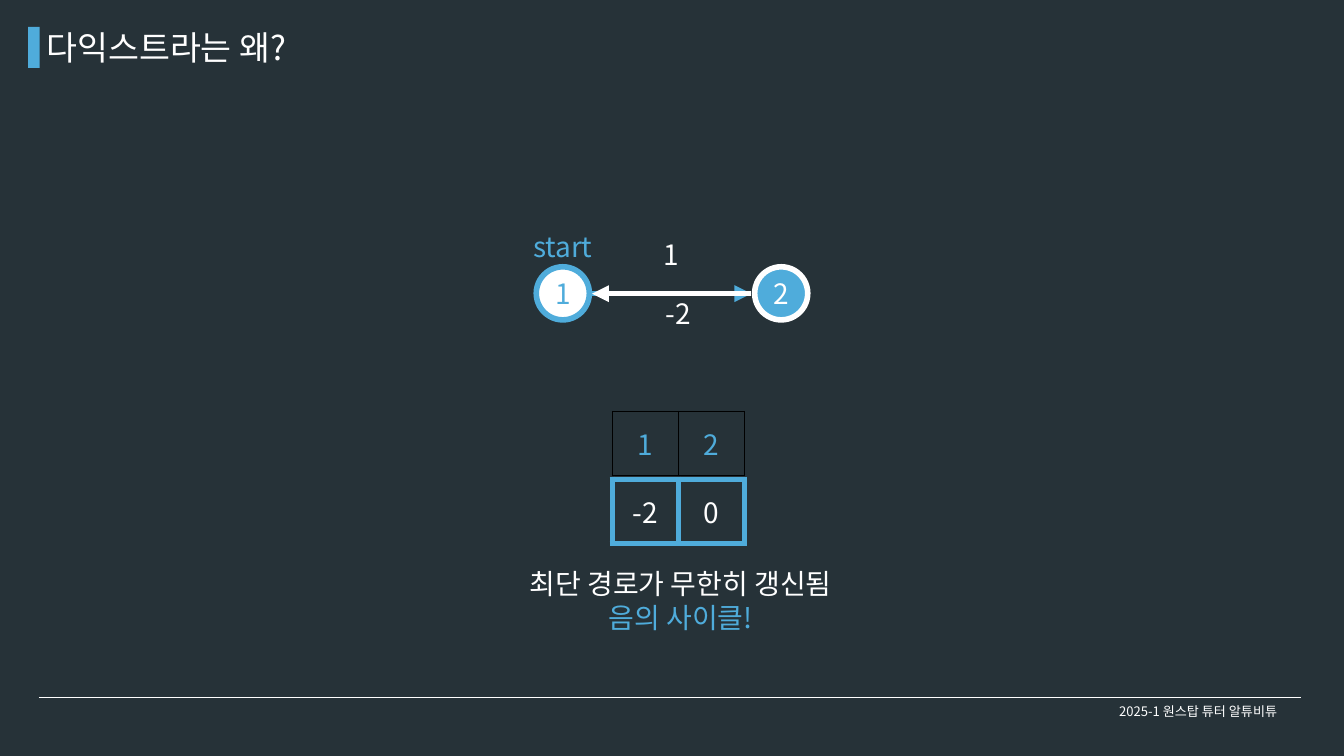
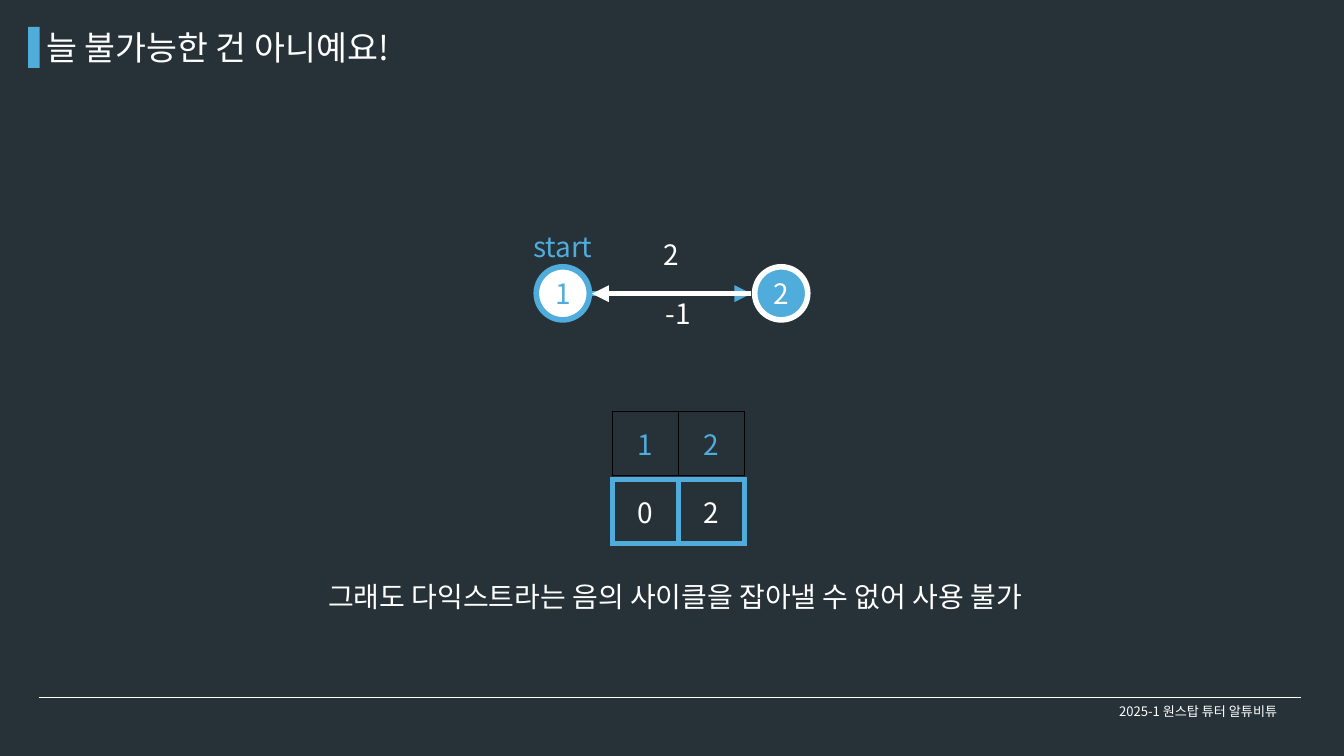
from lxml import etree
from pptx import Presentation
from pptx import util as u
from pptx.dml.color import RGBColor
from pptx.enum import shapes, text
from pptx.oxml import ns

SCALE = 9144
FONT = "Noto Sans CJK KR"
COLORS = {"night": "263238", "sky": "4FACDB", "white": "FFFFFF", "black": "000000"}
INSETS = dict.fromkeys(("margin_left", "margin_top", "margin_right", "margin_bottom"), u.Emu(5 * SCALE))
LEFT, CENTER = text.PP_ALIGN.LEFT, text.PP_ALIGN.CENTER
TOP, MIDDLE = text.MSO_ANCHOR.TOP, text.MSO_ANCHOR.MIDDLE

PAGES = [
    {
        "title": "다익스트라는 왜?",
        "weights": ("1", "-2"),
        "distances": ("-2", "0"),
        "message": [("최단 경로가 무한히 갱신됨", "white"), ("음의 사이클!", "sky")],
        "message_box": (703, 838, 620, 106),
    },
    {
        "title": "늘 불가능한 건 아니예요!",
        "weights": ("2", "-1"),
        "distances": ("0", "2"),
        "message": [("그래도 다익스트라는 음의 사이클을 잡아낼 수 없어 사용 불가 ", "white")],
        "message_box": (446, 857, 1127, 57),
    },
]


def emu(*lengths):
    """Turn px lengths into EMU."""
    return [u.Emu(length * SCALE) for length in lengths]


def color(name):
    """Look up a named colour."""
    return RGBColor.from_string(COLORS[name])


def apply(target, values):
    """Set attributes from a dict of format values."""
    for name, value in values.items():
        setattr(target, name, value)


def write(frame, lines, size=30, align=CENTER):
    """Fill a text frame with one paragraph per (words, colour) line."""
    for index, (words, tone) in enumerate(lines):
        para = frame.add_paragraph() if index else frame.paragraphs[0]
        para.alignment = align
        span = para.add_run()
        span.text = words
        apply(span.font, {"size": u.Pt(size), "name": FONT})
        span.font.color.rgb = color(tone)
        properties = span.font.fill._xPr
        etree.SubElement(properties, ns.qn("a:ea"), typeface=FONT)


def add_text(parent, box, lines, size=30, align=CENTER, anchor=TOP, wrap=True):
    """Add a text box that grows with its text."""
    frame = parent.add_textbox(*emu(*box)).text_frame
    apply(frame, INSETS | {
        "word_wrap": wrap,
        "vertical_anchor": anchor,
        "auto_size": text.MSO_AUTO_SIZE.SHAPE_TO_FIT_TEXT,
    })
    write(frame, lines, size, align)


def add_block(parent, kind, box, fill, line=None):
    """Add a flat preset shape with an optional thick outline."""
    block = parent.add_shape(kind, *emu(*box))
    block.shadow.inherit = False
    block.fill.solid()
    block.fill.fore_color.rgb = color(fill)
    if line:
        block.line.color.rgb = color(line)
        block.line.width = u.Pt(6)
    else:
        block.line.fill.background()


def add_line(page, start, end, tone, width, arrow=False):
    """Draw a straight line, with an arrowhead at its end if asked."""
    line = page.shapes.add_connector(shapes.MSO_CONNECTOR.STRAIGHT, *emu(*start, *end))
    line.line.color.rgb = color(tone)
    line.line.width = u.Pt(width)
    if arrow:
        etree.SubElement(line.line._get_or_add_ln(), ns.qn("a:tailEnd"), type="triangle")
    etree.SubElement(line._element.spPr, ns.qn("a:effectLst"))


def add_frame(page, title):
    """Draw the title, its marker and the footer."""
    add_line(page, (58, 1038), (1936, 1038), "white", 0.75)
    add_block(page.shapes, shapes.MSO_SHAPE.RECTANGLE, (42, 40, 17, 61), "sky")
    add_text(page.shapes, (1588, 1043, 390, 32), [("2025-1 원스탑 튜터 알튜비튜", "white")], 14, anchor=MIDDLE)
    add_text(page.shapes, (64, 35, 940, 65), [(title, "white")], 36, LEFT)


def border_cell(cell, tone, width):
    """Draw all four borders of a cell."""
    properties = cell._tc.get_or_add_tcPr()
    for index, side in enumerate(("lnL", "lnR", "lnT", "lnB")):
        line = etree.Element(ns.qn(f"a:{side}"), w=str(u.Pt(width)))
        fill = etree.SubElement(line, ns.qn("a:solidFill"))
        etree.SubElement(fill, ns.qn("a:srgbClr"), val=COLORS[tone])
        properties.insert(index, line)


def add_row(page, box, values, tone, border, width):
    """Add a one-row table of equal cells."""
    table = page.shapes.add_table(1, len(values), *emu(*box)).table
    apply(table, {"first_row": False, "horz_banding": False})
    for cell, value in zip(table.iter_cells(), values):
        apply(cell, INSETS | {"vertical_anchor": MIDDLE})
        cell.fill.background()
        border_cell(cell, border, width)
        write(cell.text_frame, [(value, tone)])


def add_distances(page, box, distances):
    """Stack the node numbers above their distances."""
    left, top, width, height = box
    add_row(page, (left, top + 101, width, height), distances, "white", "sky", 6)
    add_row(page, box, ("1", "2"), "sky", "black", 1)


def add_node(page, box, label, fill, ink):
    """Group a round node with its number."""
    left, top, width, height = box
    group = page.shapes.add_group_shape().shapes
    add_block(group, shapes.MSO_SHAPE.OVAL, box, fill, ink)
    add_text(group, (left + 21, top + 11, width - 41, height - 22), [(label, ink)], anchor=MIDDLE)


def add_graph(page, box, weights):
    """Draw two nodes joined by an edge in each direction."""
    left, top, width, size = box
    right, middle = left + width, top + 40
    tail, head = (left + 83, middle), (right - 84, middle)
    add_node(page, (left, top, size, size), "1", "white", "sky")
    add_node(page, (right - size, top, size, size), "2", "sky", "white")
    add_line(page, tail, head, "sky", 6, True)
    add_text(page.shapes, (left + 184, top - 48, 37, 57), [(weights[0], "white")], align=LEFT, wrap=False)
    add_line(page, head, tail, "white", 6, True)
    add_text(page.shapes, (left + 188, top + 39, 54, 57), [(weights[1], "white")], align=LEFT, wrap=False)
    add_text(page.shapes, (left - 50, top - 60, 179, 57), [("start", "sky")])


def add_page(deck, content):
    """Build one slide about a negative cycle."""
    page = deck.slides.add_slide(deck.slide_layouts[6])
    page.background.fill.solid()
    page.background.fill.fore_color.rgb = color("night")
    add_frame(page, content["title"])
    add_distances(page, (911, 612, 197, 96), content["distances"])
    add_text(page.shapes, content["message_box"], content["message"])
    add_graph(page, (798, 397, 404, 79), content["weights"])


def main():
    """Build and save the deck."""
    deck = Presentation()
    deck.slide_width, deck.slide_height = emu(2000, 1125)
    for content in PAGES:
        add_page(deck, content)
    deck.save("out.pptx")


if __name__ == "__main__":
    main()
